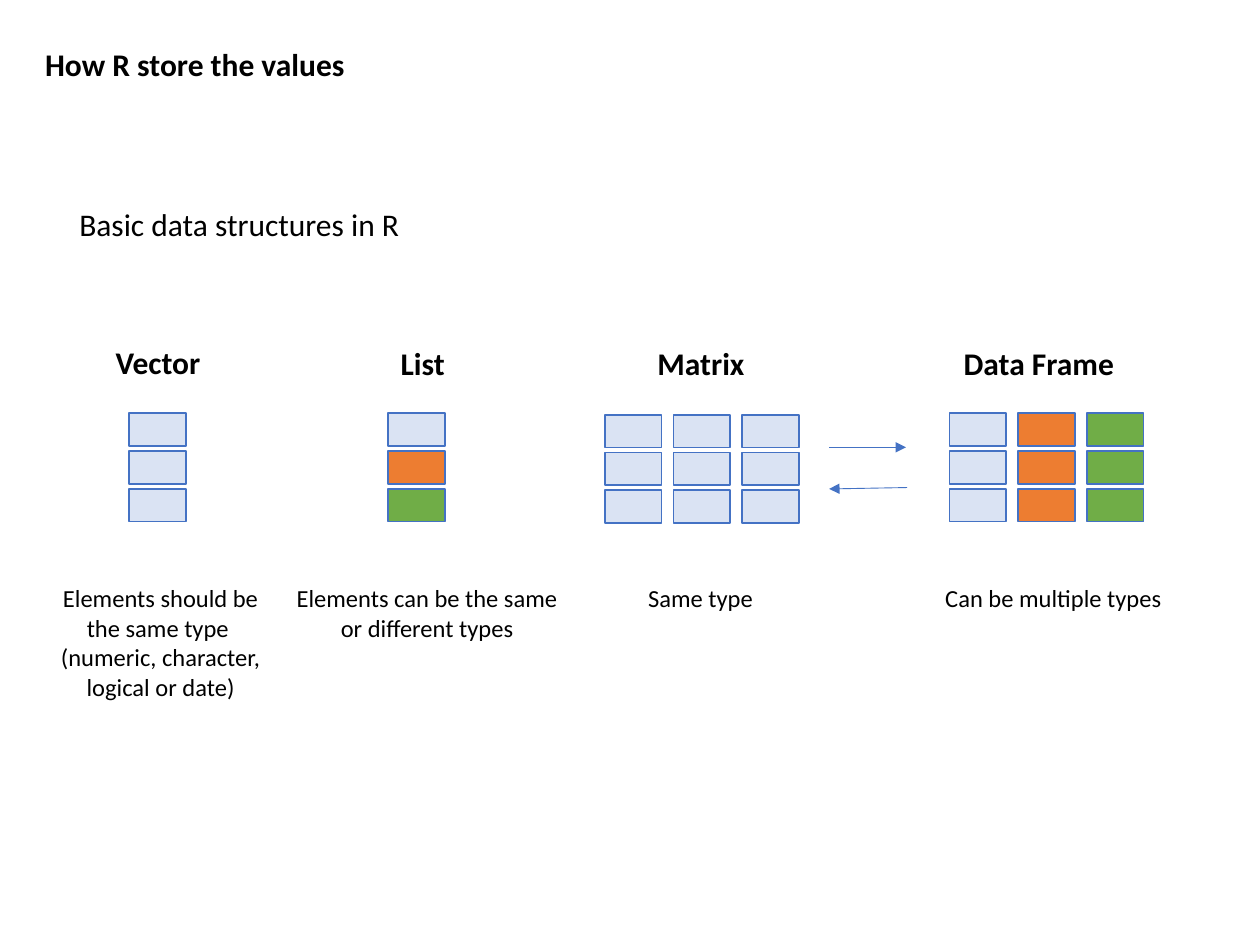
from dataclasses import dataclass

from lxml import etree
from pptx import Presentation
from pptx.dml.color import RGBColor
from pptx.enum.shapes import MSO_CONNECTOR, MSO_SHAPE
from pptx.enum.text import MSO_AUTO_SIZE, PP_ALIGN
from pptx.oxml.ns import qn
from pptx.util import Pt


@dataclass(frozen=True)
class Theme:
    font: str = "Calibri"
    heading_size: float = 18
    note_size: float = 14
    text: RGBColor = RGBColor(0x00, 0x00, 0x00)
    outline: RGBColor = RGBColor(0x44, 0x72, 0xC4)
    blue: RGBColor = RGBColor(0xDA, 0xE3, 0xF3)
    orange: RGBColor = RGBColor(0xED, 0x7D, 0x31)
    green: RGBColor = RGBColor(0x70, 0xAD, 0x47)


THEME = Theme()
CELL_WIDTH, CELL_HEIGHT = 32.4, 18.7
COLUMN_PITCH, ROW_PITCH = 39.2, 21.6
BLUE_COLUMN = [THEME.blue] * 3
MIXED = [THEME.blue, THEME.orange, THEME.green]

# Heading, heading box, note paragraphs, note box, grid corner, cell colours by column
STRUCTURES = [
    ("Vector", (59, 192.2, 71.3, 29),
     ["Elements should be the same type ", "(numeric, character, logical or date)"],
     (18.7, 329.8, 146.2, 75), (73.8, 236.2), [BLUE_COLUMN]),
    ("List", (221.8, 193, 71.3, 29),
     ["Elements can be the same or different types"],
     (159.1, 329.8, 169.9, 41), (221.8, 236.2), [MIXED]),
    ("Matrix", (368.6, 193, 71.3, 29), ["Same type"],
     (315.4, 329.8, 169.9, 24.5), (345.6, 237), [BLUE_COLUMN] * 3),
    ("Data Frame", (543.6, 193, 117.4, 29), ["Can be multiple types"],
     (517, 329.8, 169.9, 24.5), (542.6, 236.2), [[color] * 3 for color in MIXED]),
]
ARROWS = [((473.8, 255.6), (517.7, 255.6)), ((518.4, 278.6), (473.8, 279.4))]


def add_text(slide, box, lines, size, bold=False, align=PP_ALIGN.LEFT, wrap=True):
    frame = slide.shapes.add_textbox(*map(Pt, box)).text_frame
    frame.word_wrap = wrap
    frame.auto_size = MSO_AUTO_SIZE.SHAPE_TO_FIT_TEXT
    for index, line in enumerate(lines):
        paragraph = frame.add_paragraph() if index else frame.paragraphs[0]
        paragraph.alignment = align
        run = paragraph.add_run()
        run.text = line
        run.font.name = THEME.font
        run.font.size = Pt(size)
        run.font.bold = bold
        run.font.color.rgb = THEME.text


def add_cells(slide, corner, columns):
    """Draw a grid of cells from its top left corner, column by column."""
    left, top = corner
    for column, colors in enumerate(columns):
        for row, color in enumerate(colors):
            cell = slide.shapes.add_shape(
                MSO_SHAPE.RECTANGLE,
                Pt(left + column * COLUMN_PITCH), Pt(top + row * ROW_PITCH),
                Pt(CELL_WIDTH), Pt(CELL_HEIGHT))
            cell.shadow.inherit = False
            cell.fill.solid()
            cell.fill.fore_color.rgb = color
            cell.line.color.rgb = THEME.outline
            cell.line.width = Pt(1)


def add_structure(slide, heading, heading_box, notes, note_box, corner, columns):
    add_text(slide, heading_box, [heading], THEME.heading_size, bold=True)
    add_cells(slide, corner, columns)
    add_text(slide, note_box, notes, THEME.note_size, align=PP_ALIGN.CENTER)


def add_arrow(slide, start, end):
    arrow = slide.shapes.add_connector(
        MSO_CONNECTOR.STRAIGHT, *map(Pt, start + end))
    arrow.line.color.rgb = THEME.outline
    arrow.line.width = Pt(0.5)
    properties = arrow.element.spPr
    etree.SubElement(properties.find(qn("a:ln")), qn("a:tailEnd"), type="triangle")
    etree.SubElement(properties, qn("a:effectLst"))


def main():
    presentation = Presentation()
    presentation.slide_width, presentation.slide_height = Pt(720), Pt(540)
    slide = presentation.slides.add_slide(presentation.slide_layouts[6])
    add_text(slide, (18.7, 22.3, 187.2, 29), ["How R store the values"],
             THEME.heading_size, bold=True, wrap=False)
    add_text(slide, (38.2, 113.8, 203, 29), ["Basic data structures in R"],
             THEME.heading_size, wrap=False)
    for structure in STRUCTURES:
        add_structure(slide, *structure)
    for start, end in ARROWS:
        add_arrow(slide, start, end)
    presentation.save("out.pptx")


if __name__ == "__main__":
    main()
